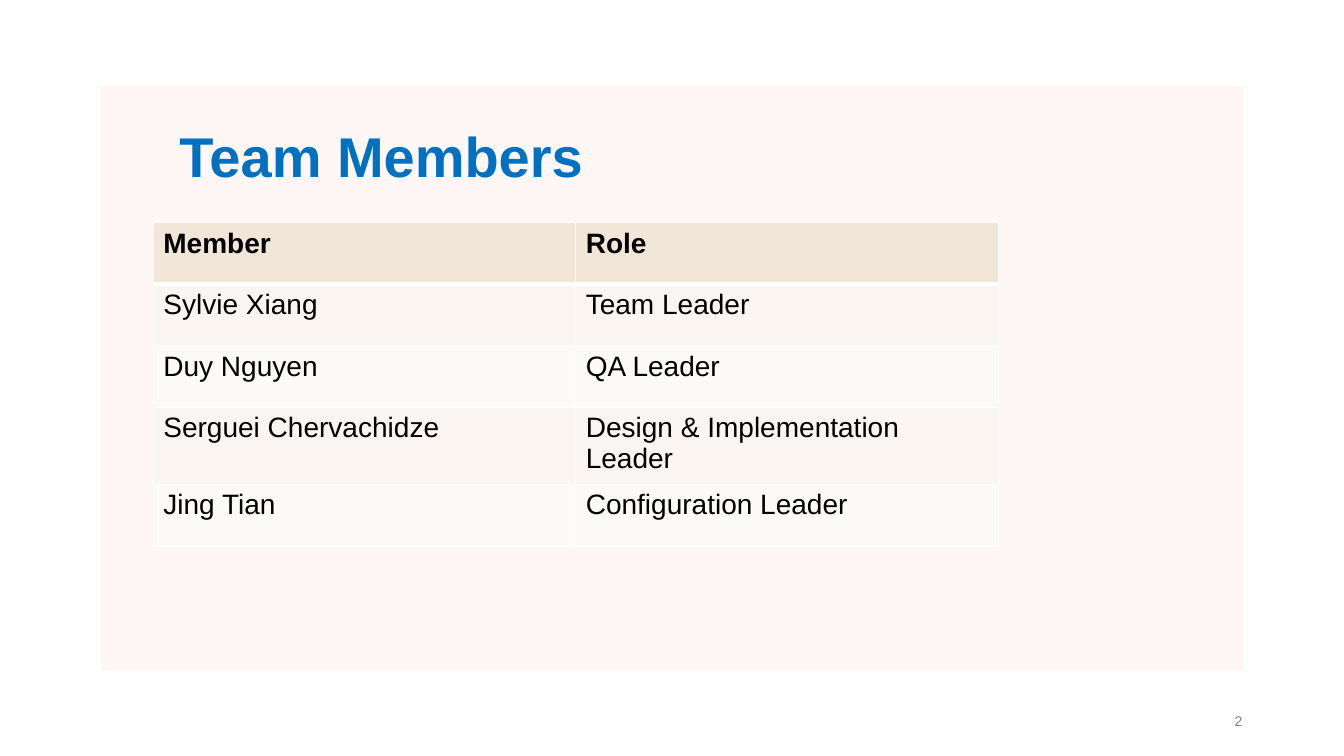
from dataclasses import dataclass

from lxml.etree import SubElement
from pptx import Presentation
from pptx.dml.color import RGBColor
from pptx.enum.shapes import MSO_SHAPE
from pptx.enum.text import MSO_ANCHOR, PP_ALIGN
from pptx.oxml import parse_xml
from pptx.oxml.ns import nsdecls, qn
from pptx.util import Inches, Pt


@dataclass(frozen=True)
class Theme:
    font: str = "Arial"
    panel: str = "FFF7F5"
    title: str = "0070C0"
    text: str = "000000"
    number: str = "7F7F7F"
    border: str = "FFFFFF"
    header: str = "F2E6D8"
    bands: tuple = ("FAF5F0", "FCFAF8")
    title_size: int = 40
    table_size: int = 20
    number_size: int = 10


THEME = Theme()
MEMBERS = [
    ("Member", "Role"),
    ("Sylvie Xiang", "Team Leader"),
    ("Duy Nguyen", "QA Leader"),
    ("Serguei Chervachidze", "Design & Implementation Leader"),
    ("Jing Tian", "Configuration Leader"),
]


def write(frame, text, size, color, bold=False, align=PP_ALIGN.LEFT):
    frame.text = text
    frame.word_wrap = True
    para = frame.paragraphs[0]
    para.alignment = align
    for span in para.runs:
        span.font.name = THEME.font
        span.font.size = Pt(size)
        span.font.bold = bold
        span.font.color.rgb = RGBColor.from_string(color)


def add_title(page, text):
    title = page.shapes.title
    title.left, title.top = Inches(1.68), Inches(1.12)
    title.width, title.height = Inches(4.47), Inches(0.92)
    write(title.text_frame, text, THEME.title_size, THEME.title, bold=True)
    title.text_frame.vertical_anchor = MSO_ANCHOR.MIDDLE
    title.text_frame.paragraphs[0].line_spacing = 0.9


def add_panel(page):
    panel = page.shapes.add_shape(
        MSO_SHAPE.RECTANGLE, Inches(1), Inches(0.85), Inches(11.33), Inches(5.8))
    panel.shadow.inherit = False
    panel.line.fill.background()
    panel.fill.solid()
    panel.fill.fore_color.rgb = RGBColor.from_string(THEME.panel)
    # Slight transparency
    color = panel.element.spPr.find(qn("a:solidFill")).find(qn("a:srgbClr"))
    SubElement(color, qn("a:alpha"), val="95000")
    # Keep the panel behind the title
    page.shapes.title.element.addprevious(panel.element)


def set_borders(cell, top, bottom):
    properties = cell._tc.get_or_add_tcPr()
    widths = {"L": 1, "R": 1, "T": top, "B": bottom}
    for index, (side, width) in enumerate(widths.items()):
        properties.insert(index, parse_xml(
            f'<a:ln{side} {nsdecls("a")} w="{Pt(width)}"><a:solidFill>'
            f'<a:srgbClr val="{THEME.border}"/></a:solidFill></a:ln{side}>'))


def add_member_table(page, rows):
    row_height = Inches(0.61)
    table = page.shapes.add_table(
        len(rows), len(rows[0]), Inches(1.52), Inches(2.21),
        Inches(8.38), row_height * len(rows)).table
    for row_index, row in enumerate(rows):
        table.rows[row_index].height = row_height
        is_header = row_index == 0
        fill = THEME.header if is_header else THEME.bands[(row_index - 1) % 2]
        for column_index, text in enumerate(row):
            cell = table.cell(row_index, column_index)
            write(cell.text_frame, text, THEME.table_size, THEME.text, bold=is_header)
            cell.fill.solid()
            cell.fill.fore_color.rgb = RGBColor.from_string(fill)
            # A thick rule separates the header from the members
            set_borders(cell, top=3 if row_index == 1 else 1,
                        bottom=3 if is_header else 1)


def add_page_number(page, number):
    box = page.shapes.add_textbox(Inches(9.42), Inches(6.95), Inches(3), Inches(0.4))
    write(box.text_frame, number, THEME.number_size, THEME.number,
          align=PP_ALIGN.RIGHT)
    box.text_frame.vertical_anchor = MSO_ANCHOR.MIDDLE


def main():
    deck = Presentation()
    deck.slide_width, deck.slide_height = Inches(13.33), Inches(7.5)
    page = deck.slides.add_slide(deck.slide_layouts[5])
    add_title(page, "Team Members")
    add_panel(page)
    add_page_number(page, "2")
    add_member_table(page, MEMBERS)
    deck.save("out.pptx")


if __name__ == "__main__":
    main()
